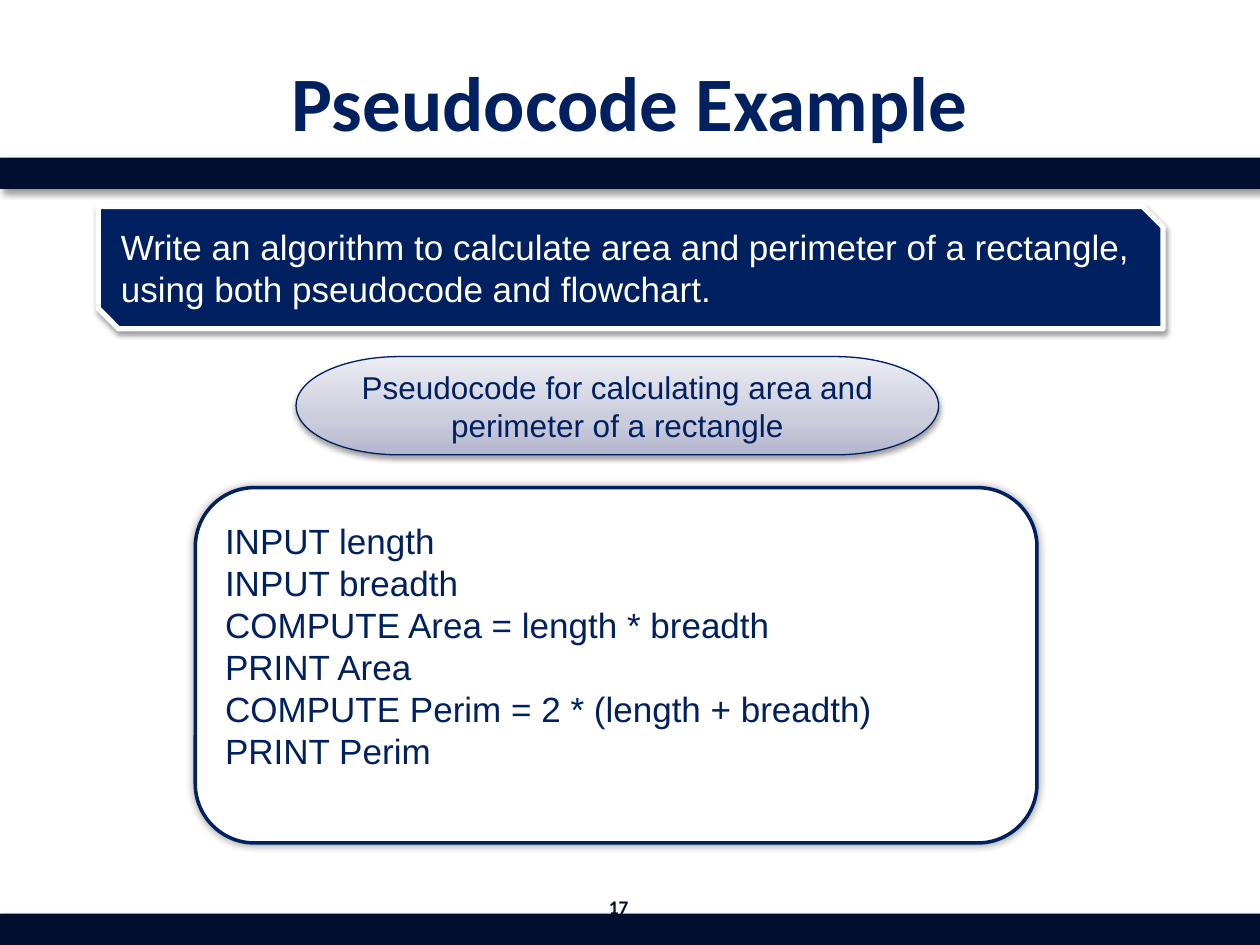
from lxml import etree
from pptx import Presentation
from pptx.dml.color import RGBColor
from pptx.enum.shapes import MSO_SHAPE
from pptx.enum.text import MSO_ANCHOR, PP_ALIGN
from pptx.oxml.ns import qn
from pptx.util import Inches, Pt

RECT = MSO_SHAPE.RECTANGLE
SNIPPED = MSO_SHAPE.SNIP_2_DIAG_RECTANGLE
TERMINATOR = MSO_SHAPE.FLOWCHART_TERMINATOR
ROUNDED = MSO_SHAPE.ROUNDED_RECTANGLE
LEFT, CENTER = PP_ALIGN.LEFT, PP_ALIGN.CENTER
MIDDLE = MSO_ANCHOR.MIDDLE

NAVY = RGBColor(0x00, 0x20, 0x60)
EDGE_NAVY = RGBColor(0x00, 0x1F, 0x5E)
DARK_NAVY = RGBColor(0x00, 0x0F, 0x2E)
WHITE = RGBColor(0xFF, 0xFF, 0xFF)
BLACK = RGBColor(0x00, 0x00, 0x00)
LILAC_STOPS = [
    (0, RGBColor(0xB4, 0xB6, 0xCE)),
    (35, RGBColor(0xCB, 0xCC, 0xDC)),
    (100, RGBColor(0xEB, 0xEC, 0xF2)),
]

WIDTH, HEIGHT = 10, 7.5
BAR_HEIGHT = 0.25
BAR_SHADOW = {"alpha": 40, "blur": 4, "dist": 3, "angle": 45}
SOFT_SHADOW = {"alpha": 38, "blur": 3.1, "dist": 1.6, "angle": 90}
GLOW_SHADOW = {"alpha": 40, "blur": 5, "dist": 0, "angle": 0}

PSEUDOCODE = [
    "INPUT length",
    "INPUT breadth",
    "COMPUTE Area = length * breadth",
    "PRINT Area",
    "COMPUTE Perim = 2 * (length + breadth)",
    "PRINT Perim",
]


def cast_shadow(shape, alpha, blur, dist, angle):
    shape.shadow.inherit = False
    effects = shape._element.spPr.find(qn("a:effectLst"))
    outer = etree.SubElement(
        effects, qn("a:outerShdw"), blurRad=str(Pt(blur)), dist=str(Pt(dist)),
        dir=str(angle * 60000), rotWithShape="0")
    tint = etree.SubElement(outer, qn("a:srgbClr"), val=str(BLACK))
    etree.SubElement(tint, qn("a:alpha"), val=str(alpha * 1000))


def fill_gradient(shape, stops, angle):
    shape.fill.gradient()
    gradient = shape._element.spPr.find(qn("a:gradFill"))
    for part in list(gradient):
        gradient.remove(part)
    stop_list = etree.SubElement(gradient, qn("a:gsLst"))
    for position, color in stops:
        stop = etree.SubElement(stop_list, qn("a:gs"), pos=str(position * 1000))
        etree.SubElement(stop, qn("a:srgbClr"), val=str(color))
    etree.SubElement(gradient, qn("a:lin"), ang=str(angle * 60000), scaled="0")


def add_panel(slide, kind, box, shadow, fill=None, line=None, line_width=0):
    panel = slide.shapes.add_shape(kind, *map(Inches, box))
    if fill is not None:
        panel.fill.solid()
        panel.fill.fore_color.rgb = fill
    if line is None:
        panel.line.fill.background()
    else:
        panel.line.color.rgb = line
        panel.line.width = Pt(line_width)
    cast_shadow(panel, **shadow)
    return panel


def write_text(shape, text, color, align=LEFT, **font_format):
    frame = shape.text_frame
    frame.word_wrap = True
    frame.vertical_anchor = MIDDLE
    paragraph = frame.paragraphs[0]
    paragraph.text = text
    paragraph.alignment = align
    font = paragraph.runs[0].font
    for run in paragraph.runs:
        font = run.font
        for name, value in font_format.items():
            setattr(font, name, value)
        font.color.rgb = color


def add_bar(slide, box):
    add_panel(slide, RECT, box, BAR_SHADOW, fill=DARK_NAVY)


def add_label(slide, box, text, color, size):
    label = slide.shapes.add_textbox(*map(Inches, box))
    write_text(label, text, color, CENTER, name="Calibri", size=Pt(size), bold=True)


def add_task(slide, box):
    task = add_panel(slide, SNIPPED, box, SOFT_SHADOW, NAVY, WHITE, 3)
    write_text(
        task,
        "Write an algorithm to calculate area and perimeter of a rectangle, "
        "using both pseudocode and flowchart.",
        WHITE, name="Arial", size=Pt(20))


def add_caption(slide, box):
    caption = add_panel(
        slide, TERMINATOR, box, SOFT_SHADOW, line=EDGE_NAVY, line_width=0.75)
    fill_gradient(caption, LILAC_STOPS, 270)
    write_text(
        caption, "Pseudocode for calculating area and perimeter of a rectangle",
        NAVY, CENTER, name="Arial", size=Pt(18))


def add_pseudocode(slide, box):
    listing = add_panel(slide, ROUNDED, box, GLOW_SHADOW, WHITE, NAVY, 2)
    write_text(listing, "\v".join(PSEUDOCODE), NAVY, name="Arial", size=Pt(20))
    listing.text_frame.margin_bottom = Inches(0.37)


def main():
    deck = Presentation()
    deck.slide_width, deck.slide_height = Inches(WIDTH), Inches(HEIGHT)
    slide = deck.slides.add_slide(deck.slide_layouts[6])
    for top in (HEIGHT - BAR_HEIGHT, HEIGHT / 6):
        add_bar(slide, (0, top, WIDTH, BAR_HEIGHT))
    add_label(slide, (0.5, 0.17, 9, 1.25), "Pseudocode Example", NAVY, 44)
    add_label(slide, (4.7, 7, 0.42, 0.4), "17", DARK_NAVY, 11)
    add_task(slide, (0.78, 1.64, 8.45, 0.97))
    add_caption(slide, (2.35, 2.83, 5.1, 0.78))
    add_pseudocode(slide, (1.55, 3.87, 6.68, 2.82))
    deck.save("out.pptx")


if __name__ == "__main__":
    main()
